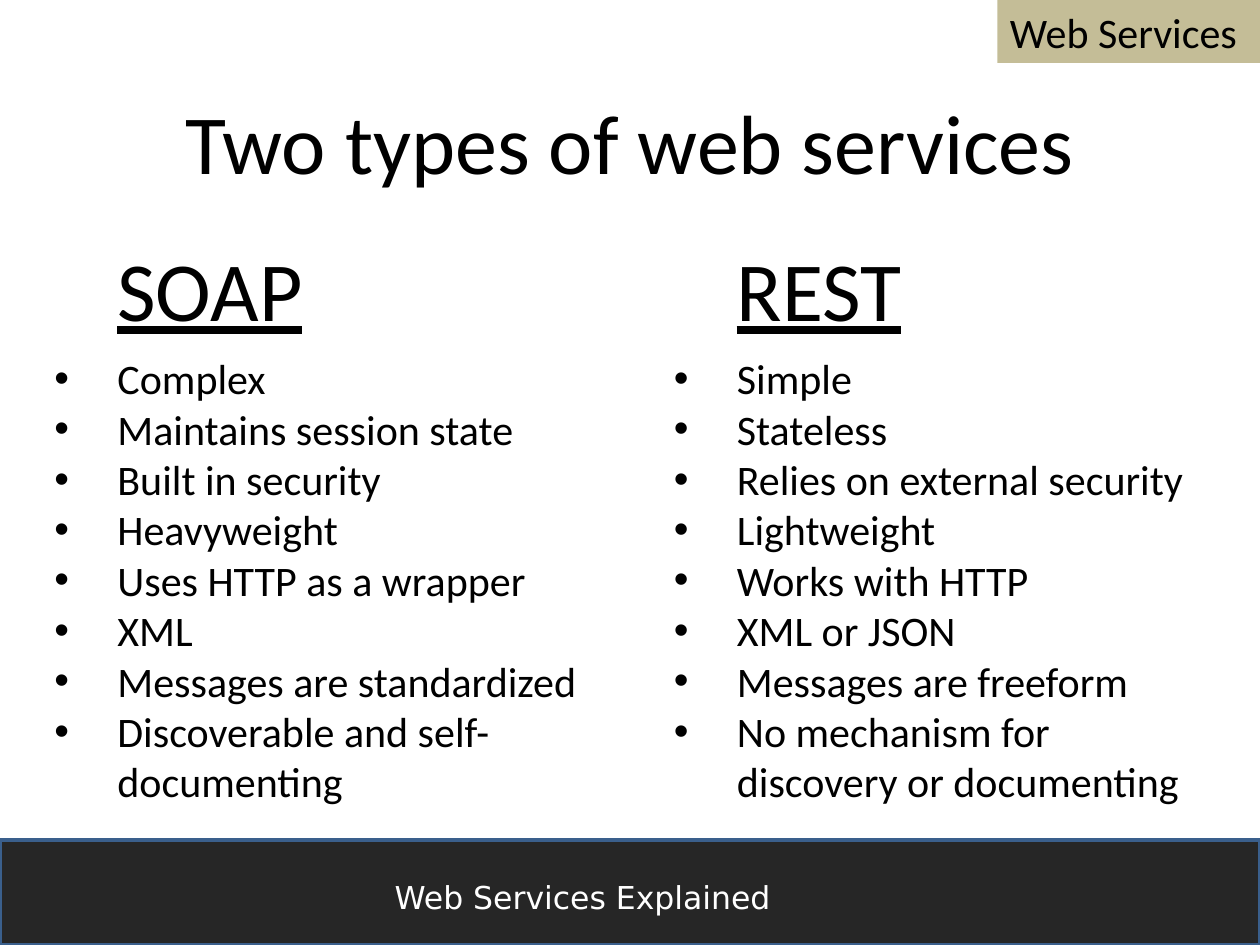
from lxml import etree
from pptx import Presentation, util as u
from pptx.dml.color import RGBColor
from pptx.enum import shapes, text
from pptx.oxml.ns import qn

BLACK = RGBColor(0, 0, 0)
WHITE = RGBColor(0xFF, 0xFF, 0xFF)
DARK = RGBColor(0x26, 0x26, 0x26)
BLUE = RGBColor(0x3A, 0x5F, 0x8C)
TAN = RGBColor(0xC4, 0xBD, 0x97)

COLS, ROWS = 120, 90
CELL = u.Inches(10) // COLS
CENTER = text.PP_ALIGN.CENTER
LEFT = text.PP_ALIGN.LEFT

SOAP = ["Complex", "Maintains session state", "Built in security",
        "Heavyweight", "Uses HTTP as a wrapper", "XML",
        "Messages are standardized", "Discoverable and self-documenting"]
REST = ["Simple", "Stateless", "Relies on external security",
        "Lightweight", "Works with HTTP", "XML or JSON",
        "Messages are freeform", "No mechanism for discovery or documenting"]


def grid(*cells):
    return [n * CELL for n in cells]


def write(shape, lines, size, color=BLACK, font="Calibri", align=LEFT,
          under=None):
    frame = shape.text_frame
    frame.word_wrap = True
    frame.auto_size = text.MSO_AUTO_SIZE.SHAPE_TO_FIT_TEXT
    frame.vertical_anchor = text.MSO_ANCHOR.TOP
    frame.text = "\n".join(lines)
    for para in frame.paragraphs:
        para.alignment = align
        for run in para.runs:
            run.font.name = font
            run.font.size = u.Pt(size)
            run.font.color.rgb = color
            run.font.underline = under


def add_text(slide, cells, lines, size, **style):
    box = slide.shapes.add_textbox(*grid(*cells))
    write(box, lines, size, **style)
    return box


def add_bar(slide, cells, fill, line=None):
    bar = slide.shapes.add_shape(shapes.MSO_SHAPE.RECTANGLE, *grid(*cells))
    bar.shadow.inherit = False
    bar.fill.solid()
    bar.fill.fore_color.rgb = fill
    if line is None:
        bar.line.fill.background()
    else:
        bar.line.color.rgb = line
        bar.line.width = u.Pt(2)
    return bar


def add_list(slide, cells, items):
    box = add_text(slide, cells, items, 24)
    for para in box.text_frame.paragraphs:
        props = para._p.get_or_add_pPr()
        props.set("marL", str(u.Inches(0.5)))
        props.set("indent", str(-u.Inches(0.5)))
        etree.SubElement(props, qn("a:buFont"), typeface="Arial")
        etree.SubElement(props, qn("a:buChar"), char="•")


def main():
    deck = Presentation()
    deck.slide_width, deck.slide_height = grid(COLS, ROWS)
    slide = deck.slides.add_slide(deck.slide_layouts[6])

    add_bar(slide, (0, 80, COLS, 10), DARK, BLUE)
    add_text(slide, (25, 83, 61, 5), ["Web Services Explained"], 18,
             color=WHITE, font="DejaVu Sans", align=CENTER)
    add_text(slide, (0, 8, COLS, 11), ["Two types of web services"], 48,
             align=CENTER)

    add_list(slide, (4, 33, 56, 45), SOAP)
    add_list(slide, (63, 33, 52, 45), REST)
    for left, width, name in ((5, 30, "SOAP"), (61, 34, "REST")):
        add_text(slide, (left, 22, width, 11), [name], 48,
                 align=CENTER, under=True)

    tag = add_bar(slide, (95, 0, 25, 6), TAN)
    write(tag, ["Web Services"], 24)
    deck.save("out.pptx")


if __name__ == "__main__":
    main()
